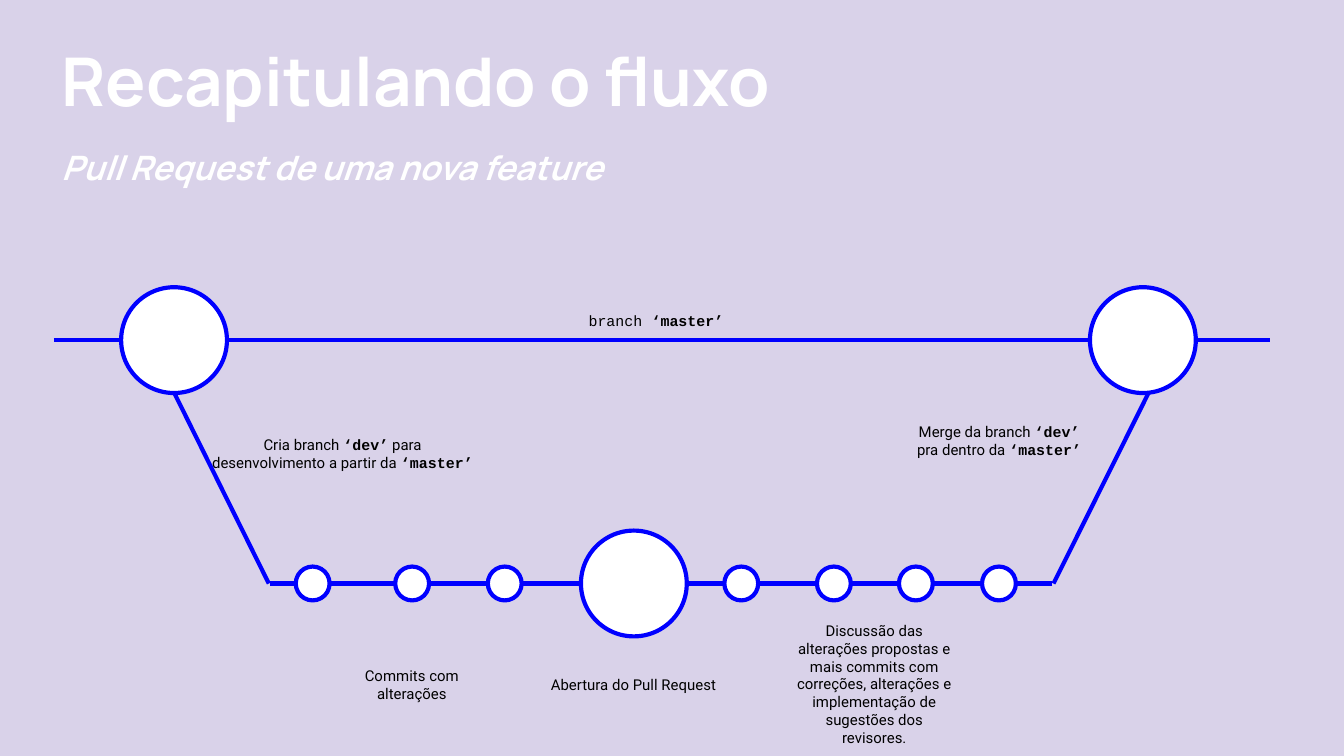
from typing import NamedTuple

from lxml.etree import SubElement
from pptx import Presentation
from pptx.dml.color import RGBColor
from pptx.enum.shapes import MSO_CONNECTOR, MSO_SHAPE
from pptx.enum.text import MSO_ANCHOR, PP_ALIGN
from pptx.oxml.ns import qn
from pptx.util import Cm, Pt

BLUE, WHITE, BLACK, LILAC = "0000FF", "FFFFFF", "000000", "D9D2E9"
TOP, LOW = 6.43, 11.03  # heights of the master and dev branches
BIG, DOT = 2.0, 0.64  # circle diameters

PLAIN = {"name": "Roboto", "size": Pt(8), "bold": False}
CODE = PLAIN | {"name": "Courier New"}
NAME = CODE | {"bold": True}
TITLE = {"name": "Manrope", "size": Pt(36), "bold": True}
SUB = TITLE | {"size": Pt(18), "italic": True}


class Line(NamedTuple):
    x1: float
    y1: float
    x2: float
    y2: float


class Node(NamedTuple):
    x: float
    y: float
    size: float


class Span(NamedTuple):
    text: str
    style: dict


class Label(NamedTuple):
    left: float
    top: float
    width: float
    height: float
    spans: list[Span]


LINES = [
    Line(1.02, TOP, 24, TOP),
    Line(19.89, LOW, 5.1, LOW),
    Line(3.28, 7.4, 5.08, LOW),
    Line(21.72, 7.4, 19.91, LOW),
]
NODES = [Node(3.29, TOP, BIG), Node(21.6, TOP, BIG), Node(11.98, LOW, BIG)]
NODES += [Node(x, LOW, DOT) for x in (5.91, 7.79, 9.54, 14.01, 15.76, 17.31, 18.88)]

DEV, MASTER = Span("‘dev’", NAME), Span("‘master’", NAME)
LABELS = [
    Label(9.96, 5.61, 4.88, 0.89, [Span("branch ", CODE), MASTER]),
    Label(3.73, 7.57, 5.49, 2, [
        Span("Cria branch ", PLAIN), DEV,
        Span(" para desenvolvimento a partir da ", PLAIN), MASTER]),
    Label(5.97, 12.62, 3.63, 0.64, [Span("Commits com alterações", PLAIN)]),
    Label(10.16, 12.62, 3.63, 0.64, [Span("Abertura do Pull Request", PLAIN)]),
    Label(14.71, 11.99, 3.63, 1.88, [Span(
        "Discussão das alterações propostas e mais commits com correções, "
        "alterações e implementação de sugestões dos revisores.", PLAIN)]),
    Label(17.07, 7.39, 3.63, 1.88, [
        Span("Merge da branch ", PLAIN), DEV,
        Span(" pra dentro da ", PLAIN), MASTER]),
]


def paint(color, code: str) -> None:
    color.rgb = RGBColor.from_string(code)


def stroke(line) -> None:
    paint(line.color, BLUE)
    line.width = Pt(2.25)


def draw_line(slide, line: Line) -> None:
    shape = slide.shapes.add_connector(MSO_CONNECTOR.STRAIGHT, *map(Cm, line))
    stroke(shape.line)
    SubElement(shape._element.spPr, qn("a:effectLst"))


def draw_node(slide, node: Node) -> None:
    half = node.size / 2
    box = (node.x - half, node.y - half, node.size, node.size)
    shape = slide.shapes.add_shape(MSO_SHAPE.OVAL, *map(Cm, box))
    shape.shadow.inherit = False
    shape.fill.solid()
    paint(shape.fill.fore_color, WHITE)
    stroke(shape.line)


def add_frame(slide, *box: float):
    """Add a wrapping, vertically centred text box and return its frame."""
    frame = slide.shapes.add_textbox(*map(Cm, box)).text_frame
    look = {"word_wrap": True, "vertical_anchor": MSO_ANCHOR.MIDDLE}
    look |= {f"margin_{side}": Cm(0.25) for side in ("left", "right", "top", "bottom")}
    for key, value in look.items():
        setattr(frame, key, value)
    return frame


def add_span(para, span: Span, color: str) -> None:
    run = para.add_run()
    run.text = span.text
    for key, value in span.style.items():
        setattr(run.font, key, value)
    paint(run.font.color, color)


def draw_label(slide, label: Label) -> None:
    para = add_frame(slide, *label[:4]).paragraphs[0]
    para.alignment = PP_ALIGN.CENTER
    for span in label.spans:
        add_span(para, span, BLACK)


def draw_title(slide) -> None:
    frame = add_frame(slide, 0.91, 0.51, 21.69, 3.45)
    head, sub = frame.paragraphs[0], frame.add_paragraph()
    add_span(head, Span("Recapitulando o fluxo", TITLE), WHITE)
    add_span(sub, Span("Pull Request de uma nova feature", SUB), WHITE)
    head.line_spacing = sub.line_spacing = 0.9
    sub.space_before = Pt(16)


def main() -> None:
    deck = Presentation()
    deck.slide_width, deck.slide_height = Cm(25.4), Cm(14.29)
    slide = deck.slides.add_slide(deck.slide_layouts[6])
    slide.background.fill.solid()
    paint(slide.background.fill.fore_color, LILAC)
    draw_title(slide)
    for line in LINES:
        draw_line(slide, line)
    for node in NODES:
        draw_node(slide, node)
    for label in LABELS:
        draw_label(slide, label)
    deck.save("out.pptx")


if __name__ == "__main__":
    main()
